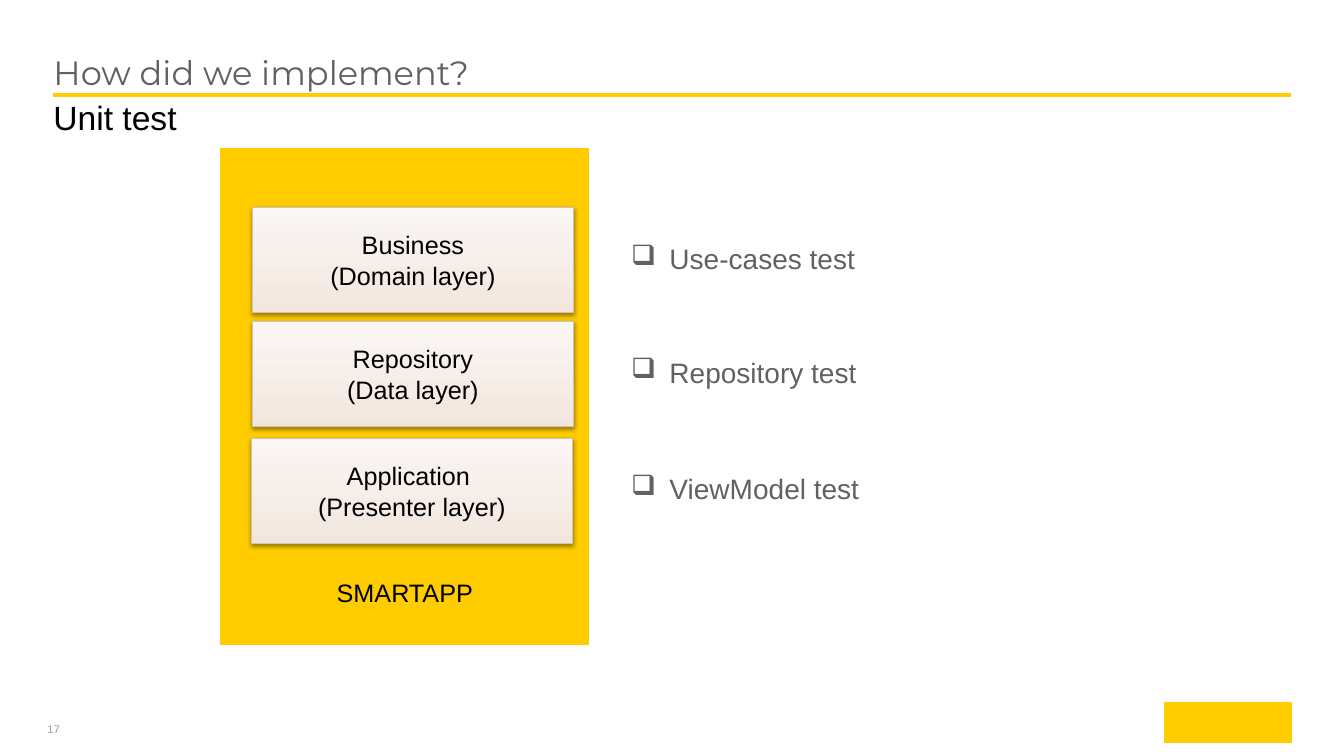
from copy import deepcopy

from pptx import Presentation
from pptx.dml.color import RGBColor as Rgb
from pptx.enum.shapes import MSO_CONNECTOR as Connector, MSO_SHAPE as Shape
from pptx.enum.text import MSO_ANCHOR as Anchor, MSO_AUTO_SIZE as AutoSize, PP_ALIGN as Align
from pptx.oxml.ns import qn
from pptx.util import Inches, Pt

COLORS = {
    "yellow": "FFCC00",
    "black": "000000",
    "grey": "606164",
    "pale grey": "9FA0A3",
    "card edge": "CFC4BD",
}
CARD_GRADIENT = [(0, "F2E5DC"), (0.35, "F5ECE6"), (1, "FBF7F5")]
LAYERS = [
    (2.5, 2.06, ["Business", "(Domain layer)"], "Use-cases test"),
    (2.5, 3.19, ["Repository", "(Data layer)"], "Repository test"),
    (2.49, 4.35, ["Application ", "(Presenter layer)"], "ViewModel test"),
]
CHECK_DROP = 0.37


def color(name):
    return Rgb.from_string(COLORS[name])


class SlideBuilder:
    def __init__(self, slide):
        self.slide = slide
        self.shapes = slide.shapes

    def set_text(self, box, lines, size, ink, font="Arial", align=Align.LEFT,
                 anchor=Anchor.TOP, spacing=None, margin=0, bullet=None):
        frame = box.text_frame
        frame.word_wrap = True
        frame.auto_size = AutoSize.NONE
        frame.vertical_anchor = anchor
        frame.margin_left = frame.margin_right = Inches(margin)
        frame.margin_top = frame.margin_bottom = Inches(margin / 2)
        frame.text = "\n".join(lines)
        for para in frame.paragraphs:
            para.alignment = align
            para.space_before = Pt(0)
            if spacing:
                para.line_spacing = spacing
            self.set_bullet(para, bullet)
            para.font.name = font
            para.font.size = Pt(size)
            para.font.bold = False
            para.font.color.rgb = color(ink)

    def set_bullet(self, para, bullet):
        properties = para._p.get_or_add_pPr()
        indent = Inches(0.38) if bullet else 0
        properties.set("marL", str(indent))
        properties.set("indent", str(-indent))
        mark = properties.makeelement(qn("a:buChar" if bullet else "a:buNone"), {})
        if bullet:
            mark.set("char", bullet)
        properties.append(mark)

    def placeholder(self, index, place, lines, **style):
        box = self.slide.placeholders[index]
        box.left, box.top, box.width, box.height = map(Inches, place)
        self.set_text(box, lines, **style)

    def text(self, place, lines, **style):
        self.set_text(self.shapes.add_textbox(*map(Inches, place)), lines, **style)

    def rectangle(self, place, fill=None, line="yellow", weight=0.5):
        box = self.shapes.add_shape(Shape.RECTANGLE, *map(Inches, place))
        box.shadow.inherit = False
        box.line.color.rgb = color(line)
        box.line.width = Pt(weight)
        if fill:
            box.fill.solid()
            box.fill.fore_color.rgb = color(fill)
        return box

    def card(self, place, lines):
        """Draw a softly shaded, shadowed box with centred lines."""
        box = self.rectangle(place, line="card edge", weight=0.75)
        box.fill.gradient()
        box.fill.gradient_angle = 90
        stop_list = box._element.spPr.find(".//" + qn("a:gsLst"))
        stop_list.append(deepcopy(stop_list[0]))
        for stop, (position, shade) in zip(box.fill.gradient_stops, CARD_GRADIENT):
            stop.position = position
            stop.color.rgb = Rgb.from_string(shade)
        self.drop_shadow(box)
        self.set_text(box, lines, 18, "black", align=Align.CENTER,
                      anchor=Anchor.MIDDLE, margin=0.1)

    def drop_shadow(self, box):
        parent = box._element.spPr.find(qn("a:effectLst"))
        for tag, attributes in (
            ("a:outerShdw", {"blurRad": str(Pt(3.1)), "dist": str(Pt(1.6)),
                             "dir": "5400000", "rotWithShape": "0"}),
            ("a:srgbClr", {"val": COLORS["black"]}),
            ("a:alpha", {"val": "38000"}),
        ):
            child = parent.makeelement(qn(tag), attributes)
            parent.append(child)
            parent = child

    def rule(self, start, end):
        line = self.shapes.add_connector(Connector.STRAIGHT, *map(Inches, start + end))
        line.line.color.rgb = color("yellow")
        line.line.width = Pt(3)
        properties = line._element.spPr
        properties.append(properties.makeelement(qn("a:effectLst"), {}))


def main():
    deck = Presentation()
    deck.slide_width, deck.slide_height = Inches(13.33), Inches(7.5)
    page = SlideBuilder(deck.slides.add_slide(deck.slide_layouts[1]))

    page.text((0.47, 7.17, 0.67, 0.13), ["17"], size=8, ink="pale grey")
    page.rule((0.53, 0.94), (12.8, 0.94))
    page.rectangle((11.55, 6.97, 1.26, 0.4), fill="yellow")
    page.placeholder(0, (0.53, 0.58, 12.27, 0.34), ["How did we implement?"], size=24,
                     ink="grey", font="Montserrat", anchor=Anchor.BOTTOM, spacing=0.85)
    page.placeholder(1, (0.53, 1.01, 9.2, 0.36), ["Unit test"], size=24,
                     ink="black", spacing=0.9)

    app = page.rectangle((2.19, 1.47, 3.65, 4.92), fill="yellow")
    page.set_text(app, ["SMARTAPP"], 18, "black", align=Align.CENTER,
                  anchor=Anchor.BOTTOM, margin=0.1)
    app.text_frame.margin_bottom = Inches(0.36)

    for left, top, lines, test in LAYERS:
        page.card((left, top, 3.19, 1.04), lines)
        page.text((6.26, top + CHECK_DROP, 5.02, 0.3), [test], size=20,
                  ink="grey", spacing=0.9, bullet="❑")

    deck.save("out.pptx")


if __name__ == "__main__":
    main()
